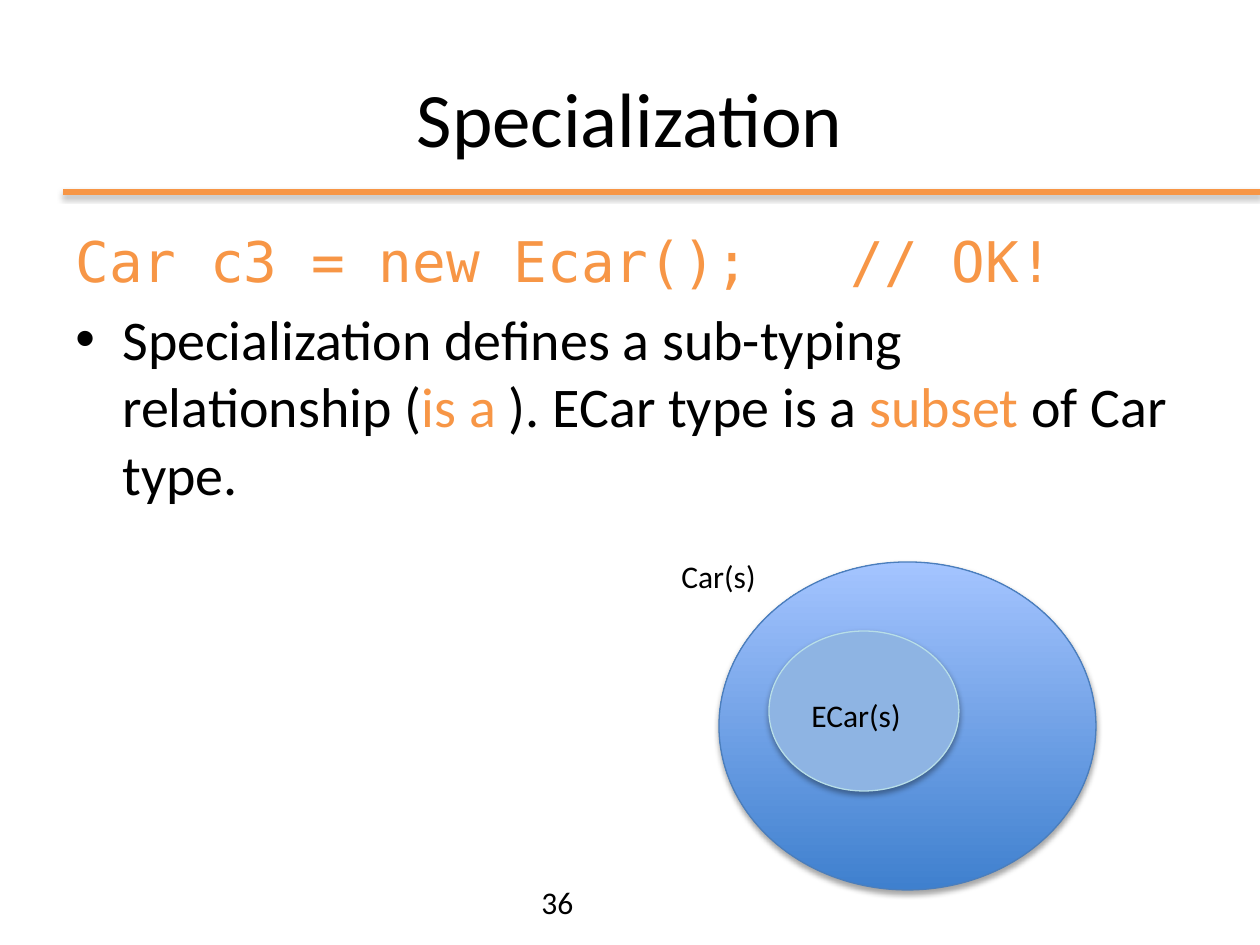
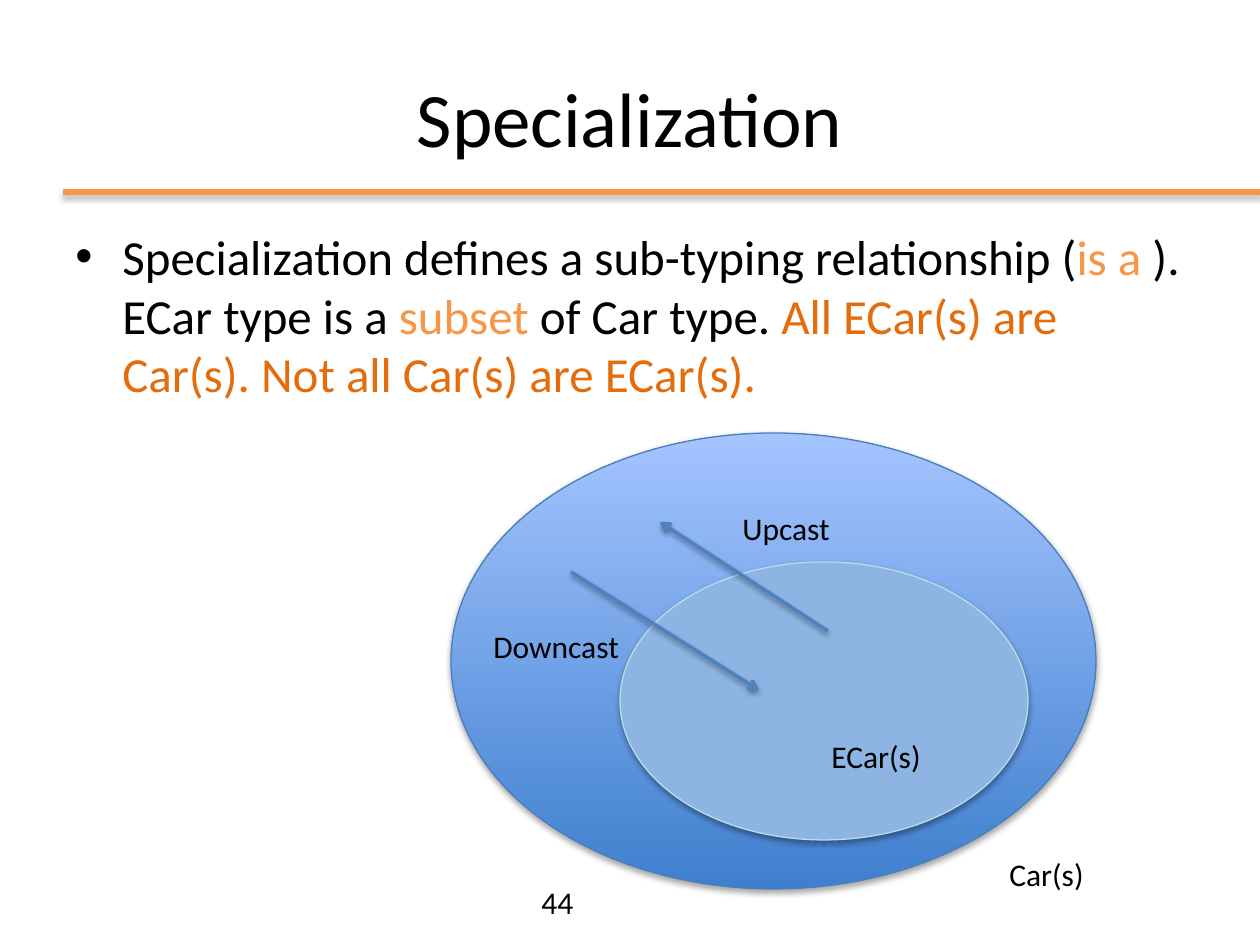
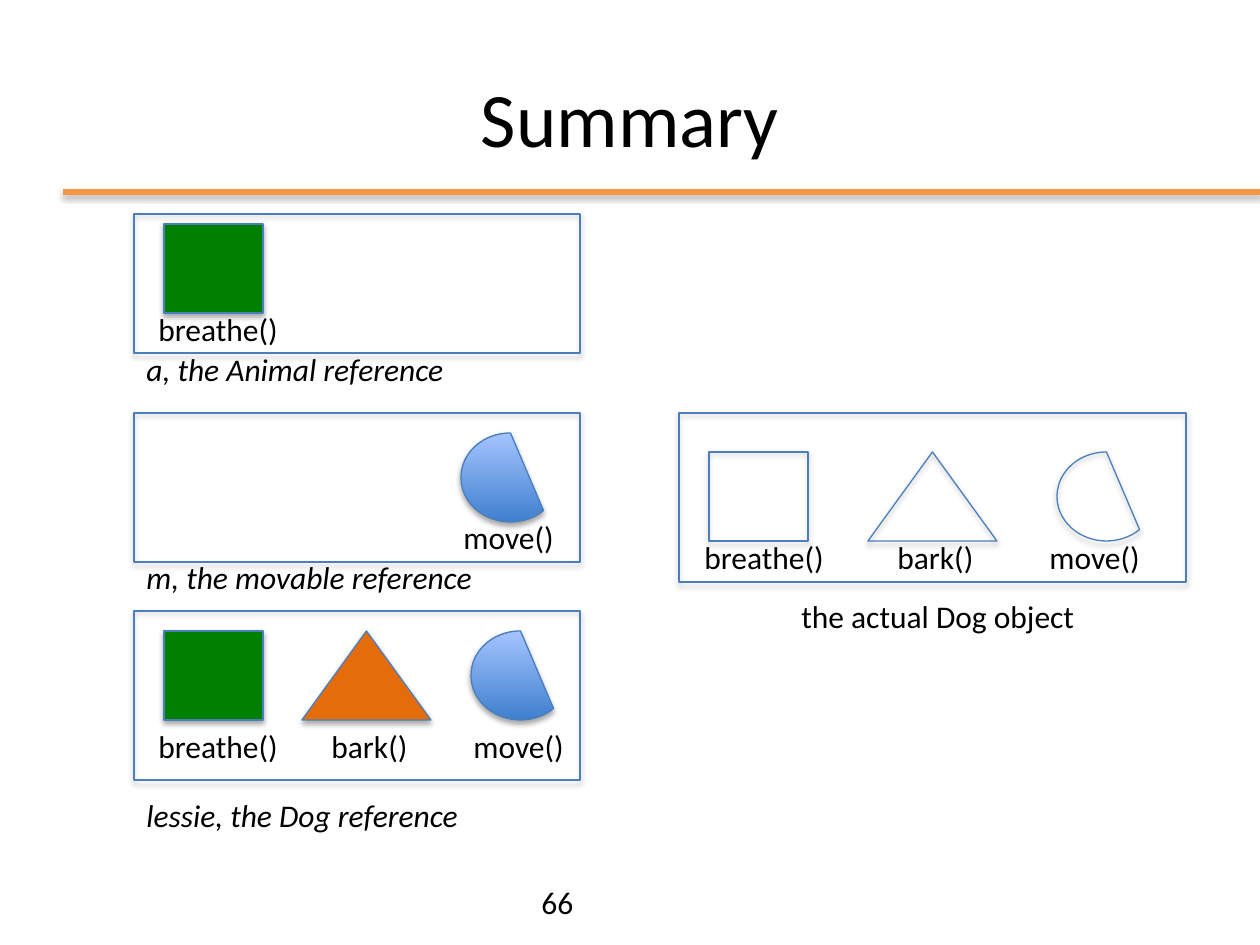
from lxml.etree import SubElement
from pptx import Presentation
from pptx.dml.color import RGBColor
from pptx.enum.shapes import MSO_CONNECTOR, MSO_SHAPE as SHAPE
from pptx.enum.text import MSO_ANCHOR, MSO_AUTO_SIZE, PP_ALIGN
from pptx.oxml.ns import qn
from pptx.util import Emu, Pt

PX_PER_INCH = 126
BODY_FONT, CODE_FONT = "Calibri", "DejaVu Sans Mono"
COLORS = {
    "text": "000000", "accent": "F79646", "strong": "E46C0A",
    "grad_dark": "3F80CE", "grad_light": "A4C4FF", "outline": "4B7EBC",
    "subset": "8EB4E3", "subset_line": "B7DEE8", "arrow": "4F81BD",
    "breathe": "008000", "bark": "E46C0A",
}
LABEL_WIDTHS = {
    "Car(s)": 101, "ECar(s)": 116, "Upcast": 115, "Downcast": 152,
    "breathe()": 147, "bark()": 102, "move()": 117,
    "a, the Animal reference": 334, "m, the movable reference": 360,
    "lessie, the Dog reference": 352, "the actual Dog object": 301,
}
LABEL_HEIGHT = 50
# Method: (preset shape, width, fill)
METHODS = {
    "breathe()": (SHAPE.RECTANGLE, 99, "breathe"),
    "bark()": (SHAPE.ISOSCELES_TRIANGLE, 129, "bark"),
    "move()": (SHAPE.CHORD, 99, "gradient"),
}
METHOD_HEIGHT = 89
SUBTYPING = [
    ("Specialization defines a sub-typing relationship (", "text"),
    ("is a ", "accent"), ("). ECar type is a ", "text"), ("subset", "accent"),
]


def px(length):
    return Emu(round(length * 914400 / PX_PER_INCH))


def rgb(name):
    return RGBColor.from_string(COLORS[name])


def add_shadow(shape, alpha=35, distance=1.8):
    effects = SubElement(shape._element.spPr, qn("a:effectLst"))
    shadow = SubElement(effects, qn("a:outerShdw"), blurRad=str(Pt(3.15)),
                        dist=str(Pt(distance)), dir="5400000", rotWithShape="0")
    color = SubElement(shadow, qn("a:srgbClr"), val="000000")
    SubElement(color, qn("a:alpha"), val=str(alpha * 1000))


def add_figure(slide, kind, box, fill=None, line="outline"):
    """Add a shadowed shape; fill is a colour name, "gradient" or None."""
    figure = slide.shapes.add_shape(kind, *map(px, box))
    if fill == "gradient":
        figure.fill.gradient()
        figure.fill.gradient_angle = 90
        for stop, name in zip(figure.fill.gradient_stops, ("grad_dark", "grad_light")):
            stop.color.rgb = rgb(name)
    elif fill:
        figure.fill.solid()
        figure.fill.fore_color.rgb = rgb(fill)
    else:
        figure.fill.background()
    figure.line.color.rgb = rgb(line)
    figure.line.width = Pt(0.75)
    add_shadow(figure)


def add_line(slide, start, end, color, width, shadow_alpha=35, shadow_distance=1.8):
    line = slide.shapes.add_connector(MSO_CONNECTOR.STRAIGHT, *map(px, start + end))
    line.line.color.rgb = rgb(color)
    line.line.width = Pt(width)
    add_shadow(line, shadow_alpha, shadow_distance)
    return line


def add_arrow(slide, start, end):
    arrow = add_line(slide, start, end, "arrow", 2, 38, 1.6)
    SubElement(arrow.line._get_or_add_ln(), qn("a:tailEnd"), type="arrow")


def set_font(paragraph, size, name=BODY_FONT, color="text"):
    paragraph.font.size = Pt(size)
    paragraph.font.name = name
    paragraph.font.color.rgb = rgb(color)


def add_text(slide, box, text, size=18):
    frame = slide.shapes.add_textbox(*map(px, box)).text_frame
    frame.word_wrap = True
    frame.text = text
    set_font(frame.paragraphs[0], size)
    return frame


def add_label(slide, x, y, text, italic=False):
    frame = add_text(slide, (x, y, LABEL_WIDTHS[text], LABEL_HEIGHT), text)
    frame.word_wrap = False
    frame.auto_size = MSO_AUTO_SIZE.SHAPE_TO_FIT_TEXT
    if italic:
        frame.paragraphs[0].font.italic = True


def add_base(prs, title, number):
    slide = prs.slides.add_slide(prs.slide_layouts[6])
    add_line(slide, (63, 192), (1260, 192), "accent", 3)
    heading = add_text(slide, (63, 38, 1134, 157), title, 44)
    heading.vertical_anchor = MSO_ANCHOR.MIDDLE
    heading.paragraphs[0].alignment = PP_ALIGN.CENTER
    add_text(slide, (529, 877, 668, LABEL_HEIGHT), number)
    return slide


def add_body(slide, size, bullet_runs, code=""):
    frame = add_text(slide, (63, 220, 1134, 624), code, size)
    bullet = frame.paragraphs[0]
    if code:
        set_font(bullet, size, CODE_FONT, "accent")
        bullet = frame.add_paragraph()
    set_font(bullet, size)
    for paragraph in frame.paragraphs:
        paragraph.space_before = Pt(size * 0.2)
    properties = bullet._p.get_or_add_pPr()
    properties.set("marL", str(px(47)))
    properties.set("indent", str(-px(47)))
    # The bullet elements belong after spacing and before the default font.
    default_font = properties.find(qn("a:defRPr"))
    for tag, attributes in (("a:buFont", {"typeface": "Arial"}), ("a:buChar", {"char": "•"})):
        default_font.addprevious(SubElement(properties, qn(tag), attributes))
    for text, color in bullet_runs:
        run = bullet.add_run()
        run.text = text
        run.font.color.rgb = rgb(color)


def add_type_sets(slide, box, subset, labels, arrows=()):
    """Draw the ECar set inside the Car set; all parts are relative to box."""
    left, top, width, height = box
    dx, dy, subset_width, subset_height = subset
    add_figure(slide, SHAPE.OVAL, box, "gradient")
    add_figure(slide, SHAPE.OVAL, (left + dx, top + dy, subset_width, subset_height),
               "subset", "subset_line")
    for (x1, y1), (x2, y2) in arrows:
        add_arrow(slide, (left + x1, top + y1), (left + x2, top + y2))
    for text, x, y in labels:
        add_label(slide, left + x, top + y, text)


def add_panel(slide, box, methods, shape_y, label_y, caption, caption_at, actual=False):
    """Draw a framed row of methods, each given as (name, shape x, label x)."""
    left, top, width, height = box
    add_figure(slide, SHAPE.RECTANGLE, box)
    for name, shape_x, label_x in methods:
        kind, shape_width, fill = METHODS[name]
        add_figure(slide, kind, (left + shape_x, top + shape_y, shape_width, METHOD_HEIGHT),
                   None if actual else fill)
        add_label(slide, left + label_x, top + label_y, name)
    add_label(slide, left + caption_at[0], top + caption_at[1], caption, not actual)


def build_subset_slide(prs):
    slide = add_base(prs, "Specialization", "36")
    add_body(slide, 32, SUBTYPING + [(" of Car type.", "text")],
             "Car c3 = new Ecar();   // OK!")
    add_type_sets(slide, (719, 562, 377, 328), (50, 69, 190, 160),
                  [("Car(s)", -50, -11), ("ECar(s)", 80, 128)])


def build_casting_slide(prs):
    slide = add_base(prs, "Specialization", "44")
    add_body(slide, 28, SUBTYPING + [
        (" of Car type. ", "text"),
        ("All ECar(s) are Car(s). Not all Car(s) are ECar(s).", "strong")])
    add_type_sets(slide, (451, 433, 645, 456), (169, 129, 408, 278),
                  [("Car(s)", 546, 416), ("ECar(s)", 368, 298),
                   ("Upcast", 279, 70), ("Downcast", 30, 188)],
                  [((120, 139), (308, 257)), ((377, 198), (209, 89))])


def build_summary_slide(prs):
    slide = add_base(prs, "Summary", "66")
    add_panel(slide, (134, 214, 446, 139), [("breathe()", 30, 12)],
              10, 90, "a, the Animal reference", (0, 130))
    add_panel(slide, (134, 413, 446, 149), [("move()", 327, 317)],
              20, 99, "m, the movable reference", (0, 139))
    add_panel(slide, (134, 611, 446, 169),
              [("breathe()", 30, 12), ("bark()", 168, 185), ("move()", 337, 327)],
              20, 110, "lessie, the Dog reference", (0, 179))
    add_panel(slide, (679, 413, 507, 169),
              [("breathe()", 30, 13), ("bark()", 189, 206), ("move()", 378, 358)],
              39, 119, "the actual Dog object", (110, 178), actual=True)


def main():
    prs = Presentation()
    prs.slide_width, prs.slide_height = px(1260), px(945)
    build_subset_slide(prs)
    build_casting_slide(prs)
    build_summary_slide(prs)
    prs.save("out.pptx")


if __name__ == "__main__":
    main()
